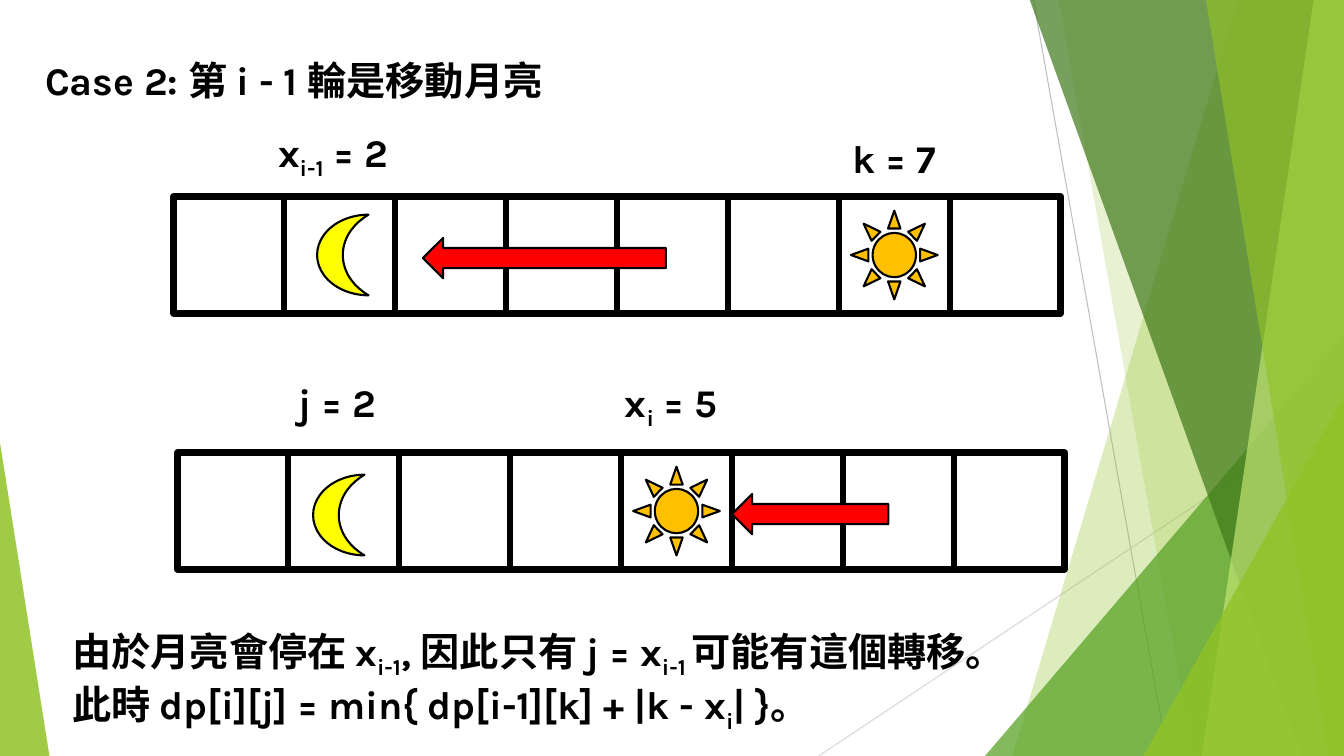
from lxml import etree
from pptx import Presentation, util as u
from pptx.dml.color import RGBColor
from pptx.enum import shapes as s
from pptx.oxml import ns

WIDTH, HEIGHT = 13.33, 7.5
CELLS, CELL_W, CELL_H = 8, 1.1, 1.16
SUN, MOON, ARROW_H = (0.86, 0.88), (0.51, 0.8), 0.4
BLACK = "000000"

RULES = [((10.25, 0), (11.58, HEIGHT), "BFBFBF"),
         ((WIDTH, 4.03), (8.12, HEIGHT), "D9D9D9")]

FACETS = [
    ("band", (12.28, 10.04), "90C226", 30),
    ("band", (10.5, 11.83), "90C226", 20),
    ("triangle", (9.77, 3.33, WIDTH, 1), "54A021", 72),
    ("band", (10.21, 12.91), "3F7819", 70),
    ("band", (13.03, 11.92), "C0E474", 70),
    ("band", (11.96, 13.18), "90C226", 65),
    ("triangle", (11.34, 3.93, WIDTH, 1), "90C226", 80),
    ("triangle", (0, 4.39, 0.49, 0), "90C226", 85),
]

TRACKS = [
    {"at": (1.72, 1.95), "sun": 6, "moon": 1, "moon_shift": (0.03, 0),
     "arrow": (2.25, 4.44)},
    {"at": (1.76, 4.49), "sun": 4, "moon": 1, "moon_shift": (-0.05, 0.04),
     "arrow": (5, 6.41)},
]

# Each paragraph alternates normal text and subscript.
TEXTS = [
    ((0.35, 0.51, 8.8, 0.57), [["Case 2: 第 i - 1 輪是移動月亮"]]),
    ((2.66, 1.22, 2.74, 0.57), [["x", "i-1", " = 2"]]),
    ((8.36, 1.28, 1.1, 0.57), [["k = 7"]]),
    ((2.86, 3.7, 1.1, 0.57), [["j = 2"]]),
    ((6.1, 3.7, 2.74, 0.57), [["x", "i", " = 5"]]),
    ((0.62, 6.17, 9.8, 1.04), [
        ["由於月亮會停在 x", "i-1", ", 因此只有 j = x", "i-1 ", "可能有這個轉移。"],
        ["此時 dp[i][j] = min{ dp[i-1][k] + |k - x", "i", "| }。"]]),
]

deck = Presentation()
deck.slide_width, deck.slide_height = u.Inches(WIDTH), u.Inches(HEIGHT)
slide = deck.slides.add_slide(deck.slide_layouts[6])


def color(value):
    return RGBColor.from_string(value)


def inches(*lengths):
    return [u.Inches(length) for length in lengths]


def paint(shape, fill=None, line=None, weight=1.5, opacity=100):
    shape.shadow.inherit = False
    if fill:
        shape.fill.solid()
        shape.fill.fore_color.rgb = color(fill)
        if opacity < 100:
            tint = shape.fill._xPr.find(".//" + ns.qn("a:srgbClr"))
            etree.SubElement(tint, ns.qn("a:alpha"), val=str(opacity * 1000))
    else:
        shape.fill.background()
    if line:
        shape.line.color.rgb = color(line)
        shape.line.width = u.Pt(weight)
        etree.SubElement(shape.line._get_or_add_ln(), ns.qn("a:round"))
    else:
        shape.line.fill.background()


def add_preset(preset, box, **look):
    shape = slide.shapes.add_shape(preset, *inches(*box))
    paint(shape, **look)
    return shape


def add_text(box, paragraphs, size=28, font="Karla", ink=BLACK, bold=True):
    frame = slide.shapes.add_textbox(*inches(*box)).text_frame
    frame.word_wrap = True
    for row, pieces in enumerate(paragraphs):
        paragraph = frame.add_paragraph() if row else frame.paragraphs[0]
        for order, piece in enumerate(pieces):
            run = paragraph.add_run()
            run.text = piece
            run.font.size, run.font.name, run.font.bold = u.Pt(size), font, bold
            run.font.color.rgb = color(ink)
            if order % 2:
                run._r.get_or_add_rPr().set("baseline", "-25000")


def add_rule(start, end, ink):
    rule = slide.shapes.add_connector(s.MSO_CONNECTOR.STRAIGHT, *inches(*start, *end))
    rule.line.color.rgb = color(ink)
    rule.line.width = u.Pt(0.75)
    etree.SubElement(rule._element.spPr, ns.qn("a:effectLst"))


def add_facet(kind, place, fill, opacity):
    if kind == "band":
        top_x, bottom_x = place
        corners = [(top_x, -0.01), (WIDTH, -0.01), (WIDTH, HEIGHT), (bottom_x, HEIGHT)]
        points = [inches(*corner) for corner in corners]
        outline = slide.shapes.build_freeform(*points[0])
        outline.add_line_segments(points[1:], close=True)
        paint(outline.convert_to_shape(), fill=fill, opacity=opacity)
    else:
        left, top, right, apex = place
        box = (left, top, right - left, HEIGHT - top)
        triangle = add_preset(s.MSO_SHAPE.ISOSCELES_TRIANGLE, box, fill=fill, opacity=opacity)
        triangle.adjustments[0] = apex


def add_track(track):
    left, top = track["at"]

    def in_cell(cell, size, shift=(0, 0)):
        return (left + cell * CELL_W + (CELL_W - size[0]) / 2 + shift[0],
                top + (CELL_H - size[1]) / 2 + shift[1], *size)

    for cell in range(CELLS):
        add_preset(s.MSO_SHAPE.RECTANGLE, in_cell(cell, (CELL_W, CELL_H)),
                   line=BLACK, weight=4.5)
    add_preset(s.MSO_SHAPE.SUN, in_cell(track["sun"], SUN), fill="FFC000", line=BLACK)
    add_preset(s.MSO_SHAPE.MOON, in_cell(track["moon"], MOON, track["moon_shift"]),
               fill="FFFF00", line=BLACK)
    tip, tail = track["arrow"]
    arrow_box = (left + tip * CELL_W, top + (CELL_H - ARROW_H) / 2 + 0.03,
                 (tail - tip) * CELL_W, ARROW_H)
    arrow = add_preset(s.MSO_SHAPE.RIGHT_ARROW, arrow_box, fill="FF0000", line=BLACK)
    arrow.rotation = 180


for rule in RULES:
    add_rule(*rule)
for facet in FACETS:
    add_facet(*facet)
for track in TRACKS:
    add_track(track)
for box, paragraphs in TEXTS:
    add_text(box, paragraphs)

deck.save("out.pptx")
